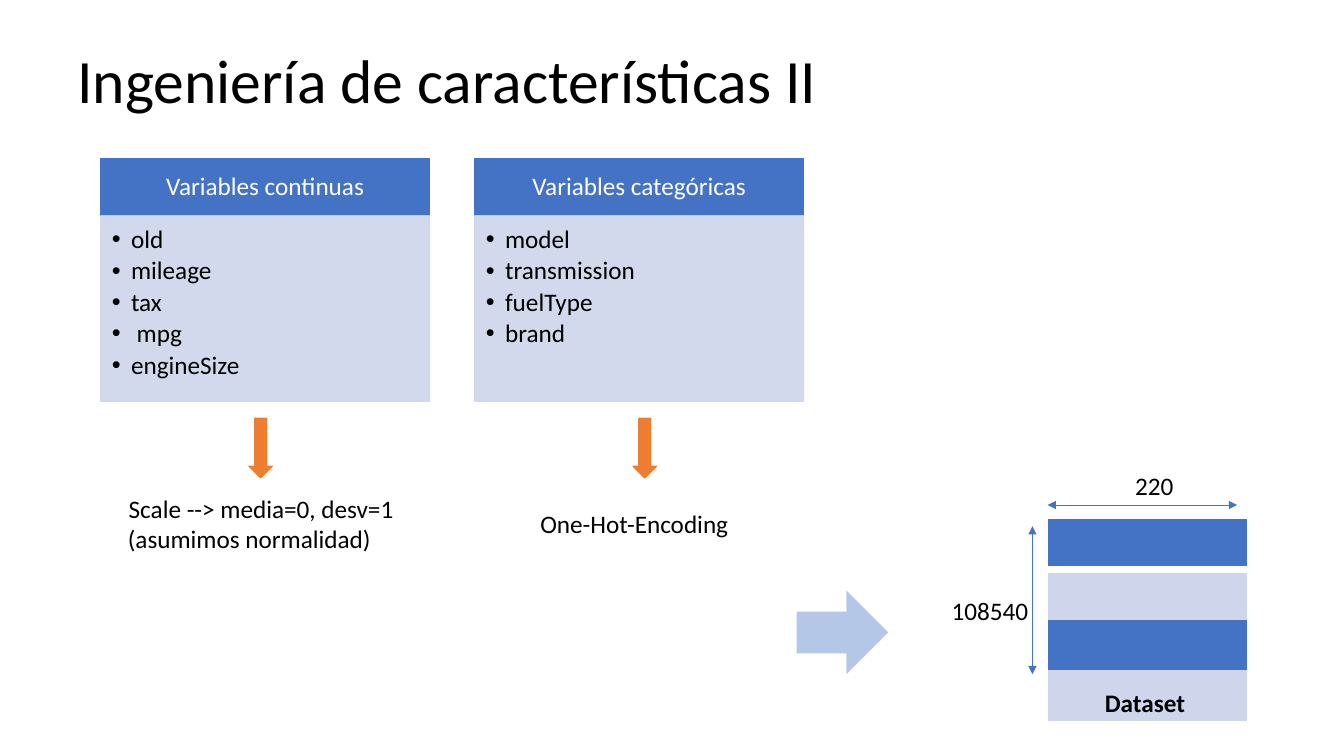
from dataclasses import dataclass

from lxml import etree
from pptx import Presentation
from pptx import util as u
from pptx.dml.color import RGBColor
from pptx.enum import shapes, text
from pptx.oxml import ns

BLACK = RGBColor(0x00, 0x00, 0x00)
WHITE = RGBColor(0xFF, 0xFF, 0xFF)
BLUE = RGBColor(0x44, 0x72, 0xC4)
PALE = RGBColor(0xCF, 0xD5, 0xEA)
LIGHT_BLUE = RGBColor(0xB4, 0xC7, 0xE7)
ORANGE = RGBColor(0xED, 0x7D, 0x31)
FONT = "Calibri"
NO_STYLE = "{2D5ABB26-0587-4C30-8999-92F81FD0307C}"
CENTER = text.PP_ALIGN.CENTER
LEFT = text.PP_ALIGN.LEFT
MIDDLE = text.MSO_ANCHOR.MIDDLE
SHAPE = shapes.MSO_SHAPE


@dataclass
class Box:
    left: float
    top: float
    width: float
    height: float

    def emu(self) -> list:
        return [u.Inches(v) for v in (self.left, self.top, self.width, self.height)]


@dataclass
class VariableGroup:
    left: float
    heading: str
    names: list
    arrow_left: float


@dataclass
class Label:
    box: Box
    lines: list
    size: int = 18
    bold: bool = False
    first_align: text.PP_ALIGN = LEFT


GROUPS = [
    VariableGroup(1, "Variables continuas",
                  ["old", "mileage", "tax", " mpg", "engineSize"], 2.47),
    VariableGroup(4.71, "Variables categóricas",
                  ["model", "transmission", "fuelType", "brand"], 6.28),
]
TITLE = Label(Box(0.67, 0.1, 11.5, 1.45), ["Ingeniería de características II"], size=44)
LABELS = [
    Label(Box(5.26, 4.99, 2.28, 0.4), ["One-Hot-Encoding"]),
    Label(Box(1.17, 4.84, 2.84, 0.71),
          ["Scale --> media=0, desv=1", "(asumimos normalidad)"], first_align=CENTER),
    Label(Box(9.34, 5.86, 1.03, 0.4), ["108540"]),
    Label(Box(11.16, 4.62, 0.69, 0.4), ["220"]),
    Label(Box(10.86, 6.77, 1.04, 0.42), ["Dataset"], bold=True),
]
DIMENSIONS = [(10.24, 5.22, 10.24, 6.69), (10.39, 5.01, 12.27, 5.01)]


def add_sub(parent, tag: str, **attrs: str):
    return etree.SubElement(parent, ns.qn(tag), attrs)


def set_font(p, size: int, color: RGBColor, bold: bool = False) -> None:
    for r in p.runs:
        r.font.name = FONT
        r.font.size = u.Pt(size)
        r.font.color.rgb = color
        r.font.bold = bold


def set_margins(tf, left: float, top: float, right: float, bottom: float) -> None:
    tf.margin_left, tf.margin_top = u.Inches(left), u.Inches(top)
    tf.margin_right, tf.margin_bottom = u.Inches(right), u.Inches(bottom)


def add_block(s, kind: SHAPE, box: Box, color: RGBColor, outlined: bool = True):
    sp = s.shapes.add_shape(kind, *box.emu())
    sp.shadow.inherit = False
    sp.fill.solid()
    sp.fill.fore_color.rgb = color
    if outlined:
        sp.line.color.rgb = color
        sp.line.width = u.Pt(1)
    else:
        sp.line.fill.background()
    return sp


def add_label(s, label: Label):
    tf = s.shapes.add_textbox(*label.box.emu()).text_frame
    tf.word_wrap = True
    tf.text = "\n".join(label.lines)
    for p in tf.paragraphs:
        set_font(p, label.size, BLACK, label.bold)
    tf.paragraphs[0].alignment = label.first_align
    return tf


def add_bullet(p) -> None:
    pPr = p._p.get_or_add_pPr()
    pPr.set("marL", str(u.Inches(0.19)))
    pPr.set("indent", str(u.Inches(-0.19)))
    add_sub(add_sub(pPr, "a:buClr"), "a:srgbClr", val=str(BLACK))
    add_sub(pPr, "a:buFont", typeface="Arial")
    add_sub(pPr, "a:buChar", char="•")


def add_group(s, group: VariableGroup) -> None:
    # Heading
    sp = add_block(s, SHAPE.RECTANGLE, Box(group.left, 1.57, 3.26, 0.57), BLUE)
    tf = sp.text_frame
    set_margins(tf, 0.14, 0.08, 0.14, 0.08)
    tf.vertical_anchor = MIDDLE
    tf.text = group.heading
    p = tf.paragraphs[0]
    p.alignment, p.line_spacing, p.space_after = CENTER, 0.9, u.Pt(8)
    set_font(p, 18, WHITE)

    # Translucent list of variables
    sp = add_block(s, SHAPE.RECTANGLE, Box(group.left, 2.14, 3.26, 1.84), PALE)
    for color in sp._element.spPr.iter(ns.qn("a:srgbClr")):
        add_sub(color, "a:alpha", val="90000")
    tf = sp.text_frame
    set_margins(tf, 0.11, 0.11, 0.14, 0.16)
    tf.vertical_anchor = text.MSO_ANCHOR.TOP
    tf.text = "\n".join(group.names)
    for p in tf.paragraphs:
        p.level, p.alignment = 1, LEFT
        p.line_spacing, p.space_after = 0.9, u.Pt(3)
        add_bullet(p)
        set_font(p, 18, BLACK)

    # Arrow to the transformation
    add_block(s, SHAPE.DOWN_ARROW, Box(group.arrow_left, 4.15, 0.23, 0.59), ORANGE)


def add_dataset(s, box: Box, rows: int, cols: int) -> None:
    table = s.shapes.add_table(rows, cols, *box.emu()).table
    table.first_row = table.horz_banding = False
    table._tbl.tblPr.find(ns.qn("a:tableStyleId")).text = NO_STYLE
    for i in range(rows):
        for j in range(cols):
            cell = table.cell(i, j)
            if i == 0:
                border = add_sub(cell._tc.get_or_add_tcPr(), "a:lnB", w=str(u.Pt(6)))
                add_sub(add_sub(border, "a:solidFill"), "a:srgbClr", val=str(WHITE))
            cell.fill.solid()
            cell.fill.fore_color.rgb = PALE if i % 2 else BLUE


def add_dimension(s, *ends: float) -> None:
    line = s.shapes.add_connector(shapes.MSO_CONNECTOR.STRAIGHT,
                                  *[u.Inches(v) for v in ends])
    line.line.color.rgb = BLUE
    line.line.width = u.Pt(0.5)
    ln = line.line._get_or_add_ln()
    add_sub(ln, "a:headEnd", type="triangle")
    add_sub(ln, "a:tailEnd", type="triangle")
    add_sub(line._element.spPr, "a:effectLst")


def main() -> None:
    prs = Presentation()
    prs.slide_width, prs.slide_height = u.Inches(13.33), u.Inches(7.5)
    s = prs.slides.add_slide(prs.slide_layouts[6])

    # Title
    tf = add_label(s, TITLE)
    tf.vertical_anchor = MIDDLE
    tf.paragraphs[0].line_spacing = 0.9

    # Variable groups
    for group in GROUPS:
        add_group(s, group)

    # Resulting dataset with its dimensions
    add_dataset(s, Box(10.39, 5.15, 1.98, 2), rows=4, cols=6)
    for ends in DIMENSIONS:
        add_dimension(s, *ends)
    add_block(s, SHAPE.RIGHT_ARROW, Box(7.9, 5.86, 0.91, 0.83), LIGHT_BLUE, outlined=False)

    # Labels
    for label in LABELS:
        add_label(s, label)

    prs.save("out.pptx")


if __name__ == "__main__":
    main()
